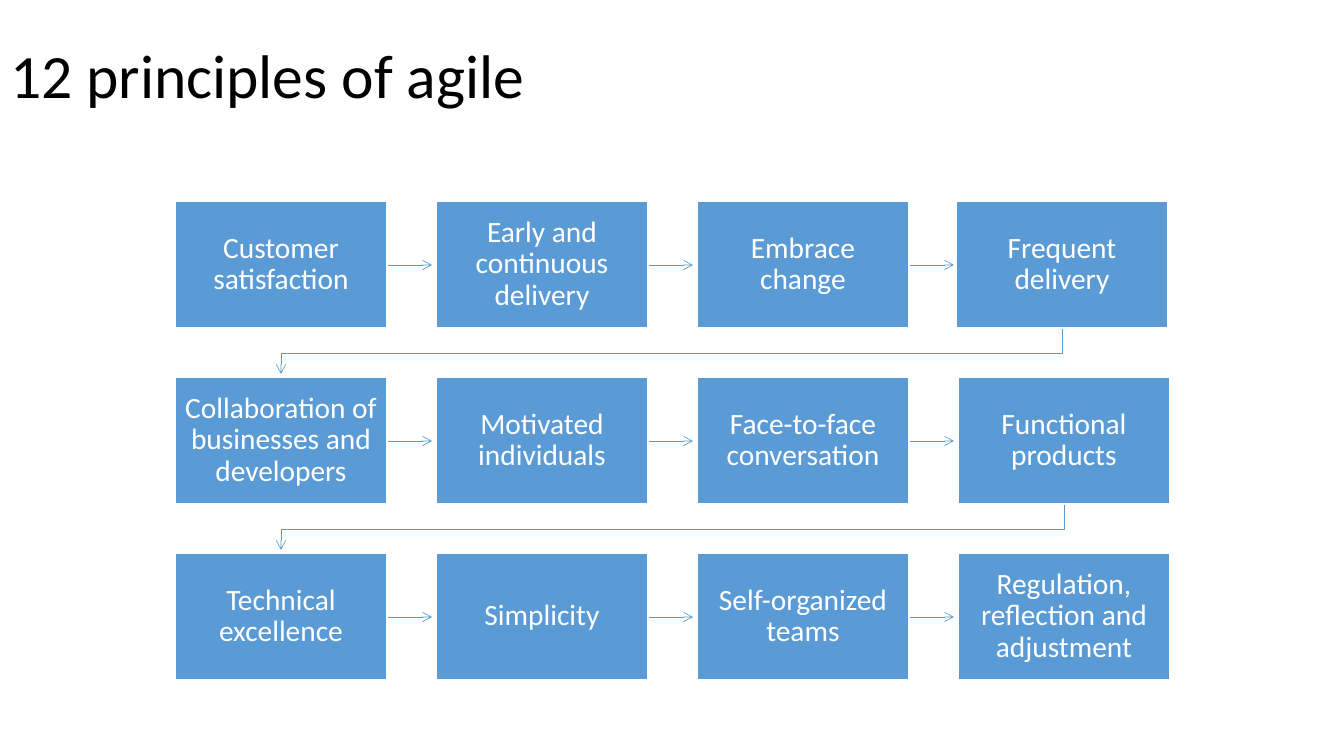
import pptx
import pptx.util
import pptx.dml.color
import pptx.enum.shapes
import pptx.enum.text
import pptx.oxml
import pptx.oxml.ns

BLUE = pptx.dml.color.RGBColor(0x5B, 0x9B, 0xD5)
WHITE = pptx.dml.color.RGBColor(0xFF, 0xFF, 0xFF)
BLACK = pptx.dml.color.RGBColor(0x00, 0x00, 0x00)
SCALE = 914400 / 100.8  # EMU in one px

ROWS = [
    ["Customer satisfaction", "Early and continuous delivery",
     "Embrace change", "Frequent delivery"],
    ["Collaboration of businesses and developers", "Motivated individuals",
     "Face-to-face conversation", "Functional products"],
    ["Technical excellence", "Simplicity",
     "Self-organized teams", "Regulation, reflection and adjustment"],
]
LEFT, TOP = 175, 201
WIDE, HIGH = 212, 127
STEP, DROP = 261, 176


def emu(px):
    return pptx.util.Emu(round(px * SCALE))


class Deck:
    font = "Calibri"
    align = pptx.enum.text.PP_ALIGN
    anchor = pptx.enum.text.MSO_ANCHOR

    def __init__(self, wide, high):
        self.prs = pptx.Presentation()
        self.prs.slide_width, self.prs.slide_height = emu(wide), emu(high)
        self.slide = self.prs.slides.add_slide(self.prs.slide_layouts[5])

    def label(self, shape, text, size, color, align, anchor, inset):
        frame = shape.text_frame
        frame.word_wrap = True
        frame.auto_size = pptx.enum.text.MSO_AUTO_SIZE.NONE
        frame.vertical_anchor = anchor
        frame.margin_left = frame.margin_right = emu(10)
        frame.margin_top = frame.margin_bottom = emu(inset)
        para = frame.paragraphs[0]
        para.alignment = align
        para.line_spacing = 0.9
        run = para.add_run()
        run.text = text
        run.font.name = self.font
        run.font.size = pptx.util.Pt(size)
        run.font.color.rgb = color

    def title(self, text, x, y, w, h):
        shape = self.slide.shapes.title
        shape.left, shape.top = emu(x), emu(y)
        shape.width, shape.height = emu(w), emu(h)
        self.label(shape, text, 44, BLACK, self.align.LEFT, self.anchor.TOP, 5)

    def box(self, text, x, y, w, h):
        shape = self.slide.shapes.add_shape(
            pptx.enum.shapes.MSO_SHAPE.RECTANGLE,
            emu(x), emu(y), emu(w), emu(h))
        shape.shadow.inherit = False
        shape.fill.solid()
        shape.fill.fore_color.rgb = BLUE
        shape.line.color.rgb = WHITE
        shape.line.width = pptx.util.Pt(1)
        self.label(shape, text, 21, WHITE, self.align.CENTER,
                   self.anchor.MIDDLE, 11)

    def stroke(self, shape):
        shape.line.color.rgb = BLUE
        shape.line.width = pptx.util.Pt(0.5)
        head = pptx.oxml.parse_xml(
            f'<a:tailEnd {pptx.oxml.ns.nsdecls("a")} type="arrow"/>')
        shape.get_or_add_ln().append(head)

    def arrow(self, x, y, end):
        line = self.slide.shapes.add_connector(
            pptx.enum.shapes.MSO_CONNECTOR.STRAIGHT,
            emu(x), emu(y), emu(end), emu(y))
        self.stroke(line)
        line.element.spPr.append(pptx.oxml.parse_xml(
            f'<a:effectLst {pptx.oxml.ns.nsdecls("a")}/>'))

    def bend(self, start, *points):
        form = self.slide.shapes.build_freeform(*start, scale=SCALE)
        form.add_line_segments(points, close=False)
        shape = form.convert_to_shape()
        shape.shadow.inherit = False
        shape.fill.background()
        self.stroke(shape)


def main():
    deck = Deck(1344, 756)
    deck.title("12 principles of agile", 0, 40, 1344, 146)

    for row, names in enumerate(ROWS):
        y = TOP + row * DROP
        for col, name in enumerate(names):
            # The last box of the first row sits slightly to the left
            x = LEFT + col * STEP - (2 if (row, col) == (0, 3) else 0)
            edge, base = x + WIDE, y + HIGH

            # Arrow to the next box, or down to the next row
            if col < len(names) - 1:
                deck.arrow(edge, y + HIGH // 2 + 1, edge + 45)
            elif row < len(ROWS) - 1:
                mid, first = x + WIDE // 2, LEFT + WIDE // 2
                deck.bend((mid, base), (mid, base + 25),
                          (first, base + 25), (first, base + 46))

            # Principle
            deck.box(name, x, y, WIDE, HIGH)

    deck.prs.save("out.pptx")


if __name__ == "__main__":
    main()
